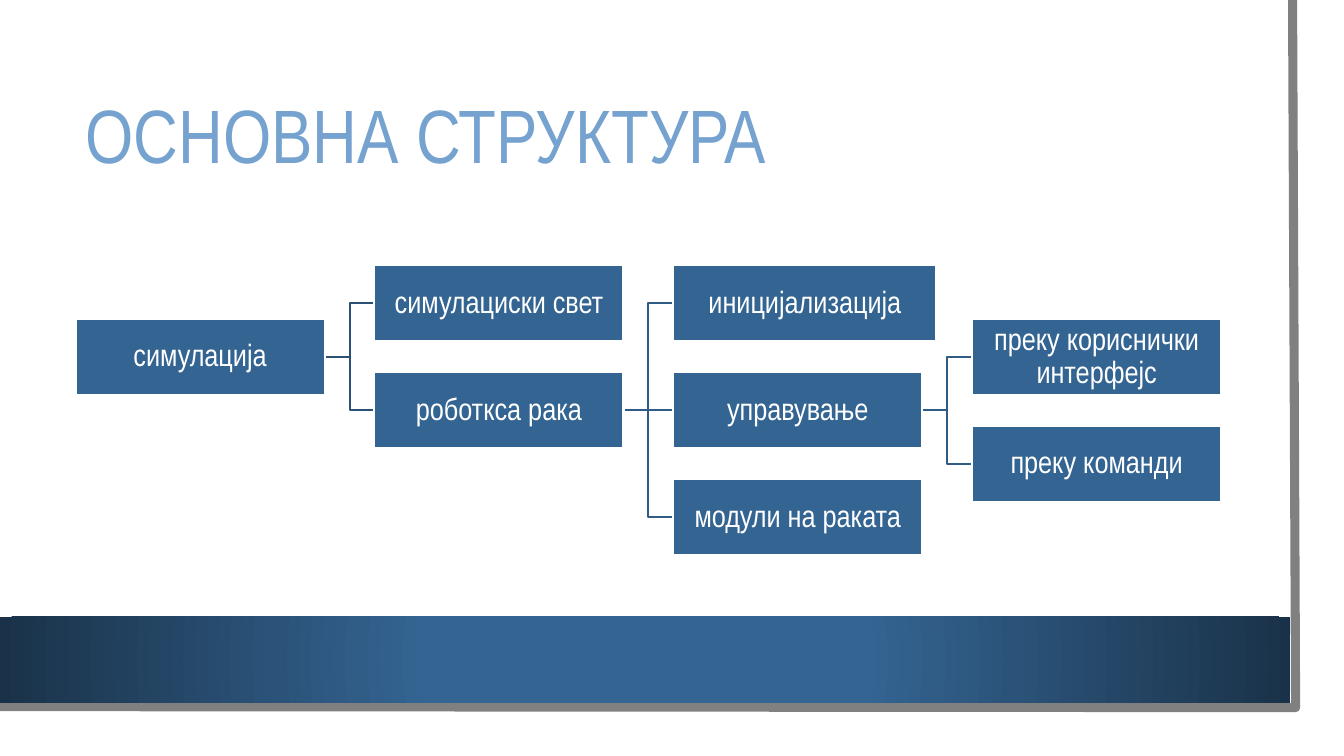
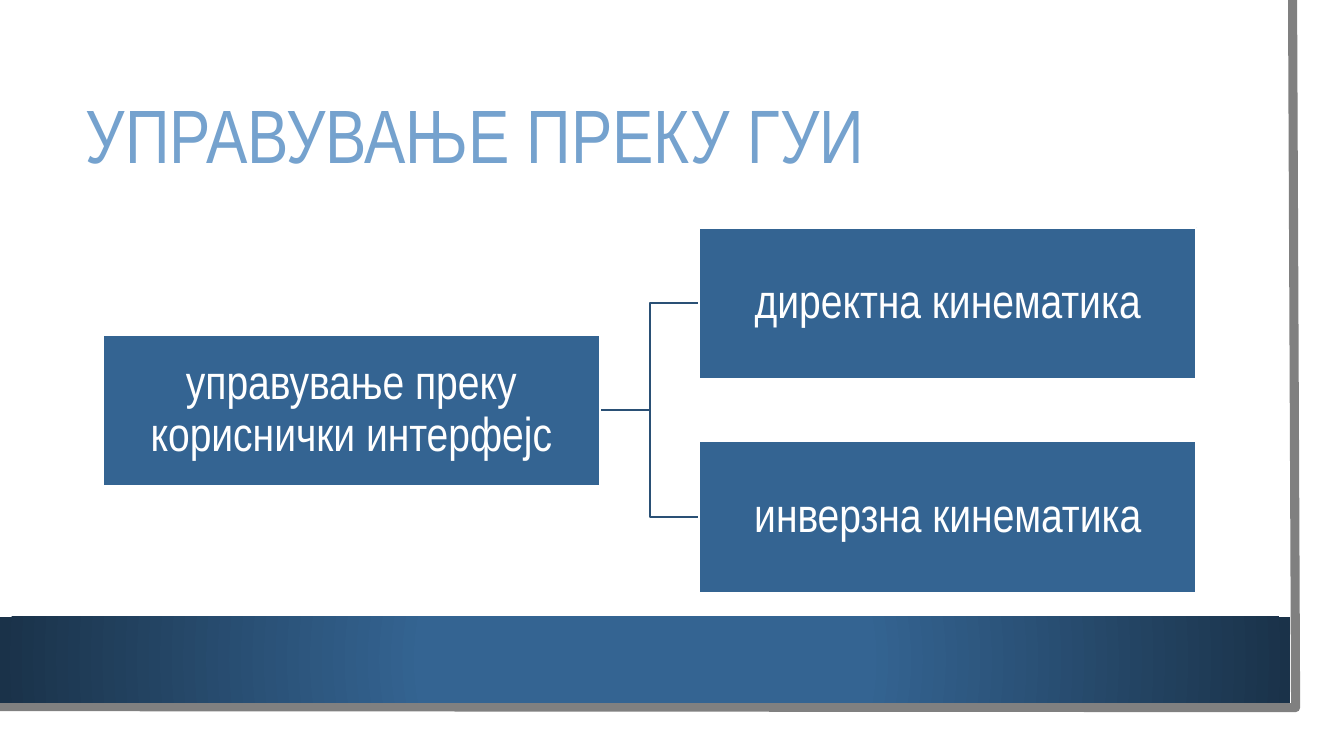
from lxml.etree import SubElement
from pptx import Presentation
from pptx.dml.color import RGBColor
from pptx.enum.shapes import MSO_CONNECTOR, MSO_SHAPE
from pptx.enum.text import MSO_ANCHOR, MSO_AUTO_SIZE, PP_ALIGN
from pptx.oxml import parse_xml
from pptx.oxml.ns import nsdecls, qn
from pptx.util import Inches, Pt

FONT = "Arial Narrow"
WHITE, BLUE, NAVY, SKY, GREY = "FFFFFF", "346492", "1A3249", "75A2CE", "808080"
LINE_COLORS = ["2A5075", "2F5B85"]
HEIGHT_RATIO, GAP_RATIO, PITCH_RATIO = 0.305, 0.2, 0.43

SLIDES = [
    dict(title="ОСНОВНА СТРУКТУРА", left=0.75, middle=3.54, width=2.47, size=22,
         tree=("симулација", [
             ("симулациски свет", []),
             ("роботкса рака", [
                 ("иницијализација", [], 2.61),
                 ("управување", [
                     ("преку кориснички интерфејс", []),
                     ("преку команди", []),
                 ]),
                 ("модули на раката", []),
             ]),
         ])),
    dict(title="УПРАВУВАЊЕ ПРЕКУ ГУИ", left=1.02, middle=4.07, width=4.93, size=34,
         tree=("управување преку кориснички интерфејс", [
             ("директна кинематика", []),
             ("инверзна кинематика", []),
         ])),
]


def rgb(color):
    """Turn a hex string into a colour."""
    return RGBColor.from_string(color)


def set_attrs(obj, **values):
    """Set each given attribute on an object."""
    for name, value in values.items():
        setattr(obj, name, value)


def set_text(tf, text, size, color, align, **frame):
    """Write one formatted paragraph into a text frame."""
    set_attrs(tf, word_wrap=True, auto_size=MSO_AUTO_SIZE.NONE,
              vertical_anchor=MSO_ANCHOR.MIDDLE, **frame)
    p = tf.paragraphs[0]
    set_attrs(p, alignment=align, line_spacing=0.9)
    r = p.add_run()
    r.text = text
    set_attrs(r.font, name=FONT, size=Pt(size))
    r.font.color.rgb = rgb(color)


def set_line(line, color, width):
    """Give a line its colour and width."""
    line.color.rgb = rgb(color)
    line.width = Pt(width)


def add_rect(s, x, y, w, h, fill=None):
    """Add a rectangle without shadow or outline."""
    sp = s.shapes.add_shape(MSO_SHAPE.RECTANGLE, *map(Inches, (x, y, w, h)))
    sp.shadow.inherit = False
    sp.line.fill.background()
    if fill:
        sp.fill.solid()
        sp.fill.fore_color.rgb = rgb(fill)
    return sp


def add_frame(s):
    """Add the grey edge along the right and bottom."""
    points = [(Inches(x), Inches(y)) for x, y in [(12.82, 0), (12.85, 7.02), (-0.03, 7.01)]]
    builder = s.shapes.build_freeform(*points[0])
    builder.add_line_segments(points[1:], close=False)
    sp = builder.convert_to_shape()
    sp.shadow.inherit = False
    sp.fill.background()
    set_line(sp.line, GREY, 6.5)
    return sp


def add_band(s):
    """Add the bottom band with a radial gradient."""
    sp = add_rect(s, 0, 6.12, 12.8, 0.85)
    sp.fill.gradient()
    for stop, (position, color) in zip(sp.fill.gradient_stops, [(0.34, BLUE), (1, NAVY)]):
        stop.position = position
        stop.color.rgb = rgb(color)
    grad = sp._element.spPr.find(qn("a:gradFill"))
    grad.replace(grad.find(qn("a:lin")), parse_xml(
        f'<a:path {nsdecls("a")} path="circle">'
        '<a:fillToRect l="50000" t="50000" r="50000" b="50000"/></a:path>'))
    return sp


def add_backdrop(s):
    """Place the page, frame and band on the layout of a slide."""
    parts = [add_rect(s, 0, 0, 13.1, 7.27, WHITE), add_frame(s), add_band(s)]
    for i, sp in enumerate(parts, 2):
        s.slide_layout.shapes._spTree.insert(i, sp._element)


def add_title(s, text):
    """Move and fill the title placeholder."""
    title = s.shapes.title
    set_attrs(title, left=Inches(0.75), top=Inches(0.75),
              width=Inches(11.37), height=Inches(1.26))
    set_text(title.text_frame, text, 54, SKY, PP_ALIGN.LEFT)


def add_link(s, parent, child, straight, color):
    """Join two boxes with a connector behind them."""
    kind = MSO_CONNECTOR.STRAIGHT if straight else MSO_CONNECTOR.ELBOW
    c = s.shapes.add_connector(kind, 0, 0, 0, 0)
    c.begin_connect(parent, 3)
    c.end_connect(child, 1)
    set_line(c.line, color, 1.5)
    SubElement(c._element.spPr, qn("a:effectLst"))
    s.shapes._spTree.insert(2, c._element)


def add_tree(s, node, left, middle, width, size, depth=0):
    """Draw a box and its children, centred on it, to the right."""
    text, children, *own_width = node
    height = width * HEIGHT_RATIO
    box = add_rect(s, left, middle - height / 2, own_width[0] if own_width else width, height, BLUE)
    set_line(box.line, WHITE, 1.5)
    margins = dict.fromkeys(
        ["margin_left", "margin_top", "margin_right", "margin_bottom"], Inches(0.02))
    set_text(box.text_frame, text, size, WHITE, PP_ALIGN.CENTER, **margins)
    for i, child in enumerate(children):
        offset = (i - (len(children) - 1) / 2) * width * PITCH_RATIO
        child_box = add_tree(s, child, left + width * (1 + GAP_RATIO), middle + offset,
                             width, size, depth + 1)
        add_link(s, box, child_box, offset == 0, LINE_COLORS[min(depth, 1)])
    return box


def add_tree_slide(prs, title, **tree):
    """Add a slide with a title and a tree."""
    s = prs.slides.add_slide(prs.slide_layouts[5])
    add_title(s, title)
    add_tree(s, tree.pop("tree"), **tree)
    return s


def main():
    """Build and save the presentation."""
    prs = Presentation()
    set_attrs(prs, slide_width=Inches(13.33), slide_height=Inches(7.5))
    slides = [add_tree_slide(prs, **content) for content in SLIDES]
    add_backdrop(slides[0])
    prs.save("out.pptx")


if __name__ == "__main__":
    main()
